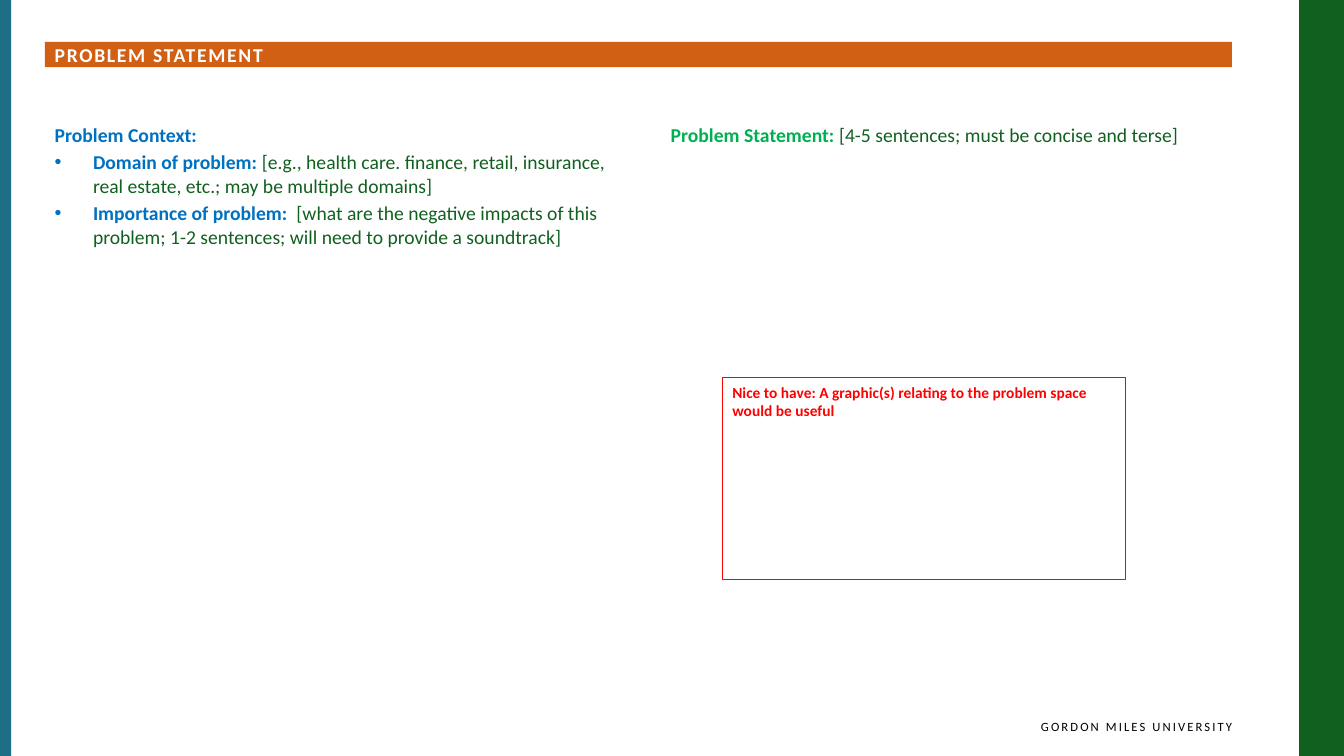
"""Build the problem statement slide."""
from lxml.etree import SubElement
from pptx import Presentation
from pptx.dml.color import RGBColor
from pptx.enum.shapes import MSO_SHAPE
from pptx.enum.text import MSO_ANCHOR, PP_ALIGN
from pptx.oxml.ns import qn
from pptx.util import Inches, Pt

WHITE = RGBColor(0xFF, 0xFF, 0xFF)
BLACK = RGBColor(0x00, 0x00, 0x00)
FOREST = RGBColor(0x11, 0x60, 0x20)
TEAL = RGBColor(0x1E, 0x6E, 0x86)
ORANGE = RGBColor(0xD2, 0x60, 0x14)
BLUE = RGBColor(0x00, 0x70, 0xC0)
GREEN = RGBColor(0x00, 0xB0, 0x50)
RED = RGBColor(0xFF, 0x00, 0x00)

WIDTH, HEIGHT = Inches(13.33), Inches(7.5)
COLS, ROWS = 120, 90


def grid(col, row, cols, rows):
    """Turn grid columns and rows into left, top, width and height."""
    x, y = WIDTH / COLS, HEIGHT / ROWS
    return [round(v) for v in (col * x, row * y, cols * x, rows * y)]


def add_rect(s, *cell, fill=None, line=None):
    """Add a plain rectangle on the grid."""
    sp = s.shapes.add_shape(MSO_SHAPE.RECTANGLE, *grid(*cell))
    sp.shadow.inherit = False
    if fill is None:
        sp.fill.background()
    else:
        sp.fill.solid()
        sp.fill.fore_color.rgb = fill
    if line is None:
        sp.line.fill.background()
    else:
        sp.line.color.rgb = line
        sp.line.width = Pt(0.75)
    return sp


def set_frame(sp, pad=0.05, right=0.1, anchor=MSO_ANCHOR.TOP):
    """Set the margins, wrapping and anchor of a text frame."""
    tf = sp.text_frame
    tf.word_wrap = True
    tf.vertical_anchor = anchor
    tf.margin_left, tf.margin_right = Inches(0.1), Inches(right)
    tf.margin_top = tf.margin_bottom = Inches(pad)
    return tf


def add_text(p, text, size=14, color=FOREST, bold=False, spacing=0):
    """Append a formatted run to a paragraph."""
    r = p.add_run()
    r.text = text
    r.font.name = "Calibri"
    r.font.size = Pt(size)
    r.font.bold = bold
    r.font.color.rgb = color
    if spacing:
        r._r.get_or_add_rPr().set("spc", str(round(spacing * 100)))


def format_item(p, bullet):
    """Give a paragraph its hanging indent, spacing and bullet."""
    p.space_before = Pt(2.8)
    pPr = p._p.get_or_add_pPr()
    pPr.set("marL", str(Inches(0.38)))
    pPr.set("indent", str(-Inches(0.38)))
    if bullet:
        SubElement(pPr, qn("a:buFont"), typeface="Arial")
        SubElement(pPr, qn("a:buChar"), char="•")
    else:
        SubElement(pPr, qn("a:buNone"))


def add_column(s, col, color, items):
    """Add a body column whose first item is a heading and the rest bullets."""
    tf = set_frame(s.shapes.add_textbox(*grid(col, 14, 51, 66)))
    for i, (label, hint) in enumerate(items):
        p = tf.add_paragraph() if i else tf.paragraphs[0]
        format_item(p, bullet=i > 0)
        add_text(p, label, color=color, bold=True)
        if hint:
            add_text(p, hint)


def add_title(s, text):
    """Add the title bar."""
    sp = add_rect(s, 4, 5, 106, 3, fill=ORANGE)
    p = set_frame(sp, pad=0, anchor=MSO_ANCHOR.MIDDLE).paragraphs[0]
    p.alignment = PP_ALIGN.LEFT
    add_text(p, text, color=WHITE, bold=True, spacing=1.2)


def add_graphic_box(s, text):
    """Add the outlined box reserved for a graphic."""
    sp = add_rect(s, 64.5, 45, 36, 24, line=RED)
    p = set_frame(sp).paragraphs[0]
    p.alignment = PP_ALIGN.LEFT
    add_text(p, text, size=11, color=RED, bold=True)


def add_footer(s, text):
    """Add the right-aligned footer."""
    p = set_frame(s.shapes.add_textbox(*grid(61, 85, 49, 4)), right=0).paragraphs[0]
    p.alignment = PP_ALIGN.RIGHT
    add_text(p, text, size=9, color=BLACK, spacing=1.5)


def main():
    """Create the slide and save it."""
    prs = Presentation()
    prs.slide_width, prs.slide_height = WIDTH, HEIGHT
    s = prs.slides.add_slide(prs.slide_layouts[6])
    add_rect(s, 116, 0, 4, ROWS, fill=FOREST)
    add_rect(s, 0, 0, 1, ROWS, fill=TEAL)
    add_footer(s, "GORDON MILES UNIVERSITY")
    add_column(s, 4, BLUE, [
        ("Problem Context:", ""),
        ("Domain of problem: ",
         "[e.g., health care. finance, retail, insurance, real estate, etc.; "
         "may be multiple domains]"),
        ("Importance of problem:  ",
         "[what are the negative impacts of this problem; 1-2 sentences; "
         "will need to provide a soundtrack]"),
    ])
    add_column(s, 59, GREEN, [
        ("Problem Statement: ", "[4-5 sentences; must be concise and terse]"),
    ])
    add_title(s, "PROBLEM STATEMENT")
    add_graphic_box(s, "Nice to have: A graphic(s) relating to the problem space would be useful")
    prs.save("out.pptx")


if __name__ == "__main__":
    main()
